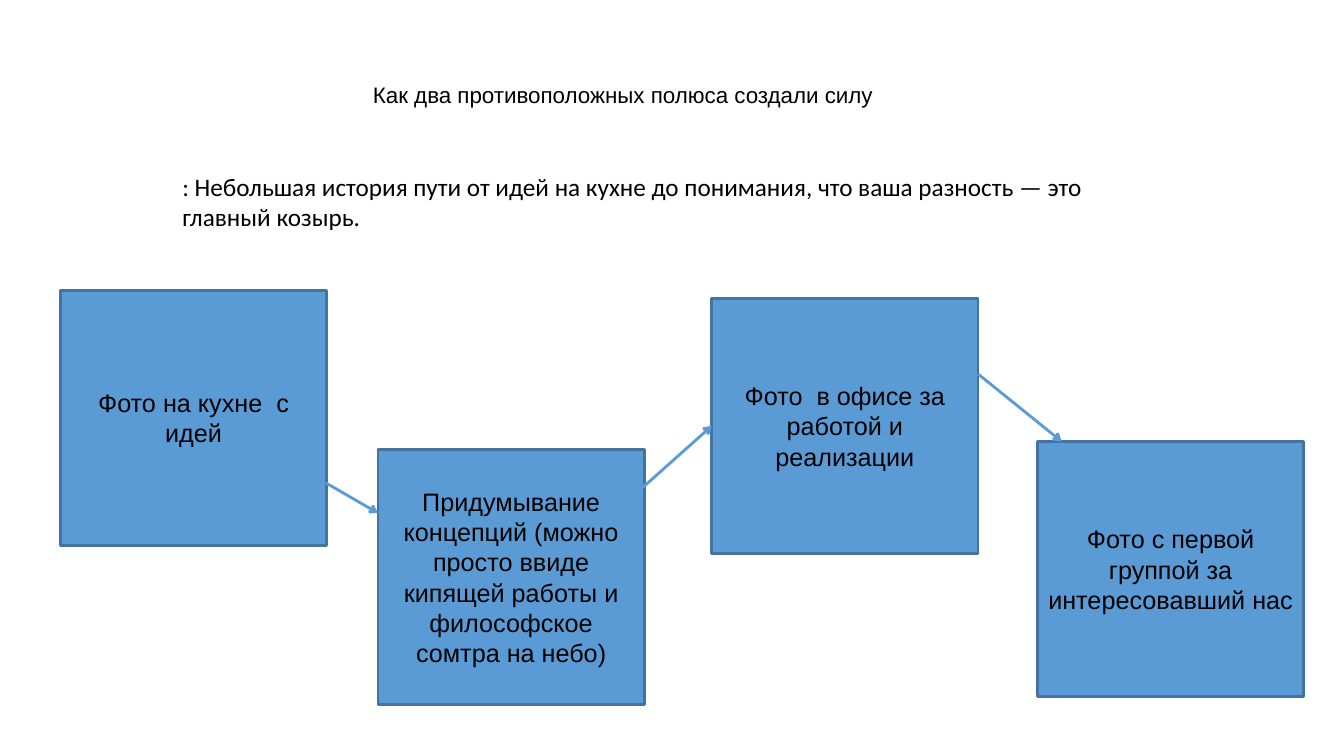
from pptx import Presentation
from pptx.dml.color import RGBColor
from pptx.enum.shapes import MSO_CONNECTOR, MSO_SHAPE
from pptx.enum.text import MSO_ANCHOR, PP_ALIGN
from pptx.oxml.ns import qn
from pptx.util import Inches, Pt
from lxml.etree import SubElement

BLUE, EDGE, BLACK = "5B9BD5", "43739E", "000000"
BOX_W, BOX_H = 2.64, 2.53

TEXTS = [
    (": Небольшая история пути от идей на кухне до понимания, что ваша разность — это главный козырь.",
     (1.71, 1.47, 10, 0.88), 18, "Calibri", MSO_ANCHOR.BOTTOM),
    ("Как два противоположных полюса создали силу",
     (3.6, 0.76, 5.56, 0.37), 16, "Arial", MSO_ANCHOR.TOP),
]
STEPS = [
    ("Фото на кухне  с идей", 0.6, 2.88),
    ("Придумывание концепций (можно просто ввиде кипящей работы и философское сомтра на небо)", 3.75, 4.46),
    ("Фото  в офисе за работой и реализации", 7.06, 2.96),
    ("Фото с первой группой за интересовавший нас ", 10.29, 4.38),
]
ARROWS = [
    ((3.23, 4.79), (3.75, 5.09), None),
    ((6.27, 4.93), (7.06, 4.23), 2),
    ((9.7, 3.71), (10.53, 4.38), None),
]


def color(value):
    return RGBColor.from_string(value)


def write(shape, text, size, font, anchor, align):
    tf = shape.text_frame
    tf.word_wrap = True
    tf.vertical_anchor = anchor
    p = tf.paragraphs[0]
    p.alignment = align
    r = p.add_run()
    r.text = text
    r.font.size = Pt(size)
    r.font.name = font
    r.font.color.rgb = color(BLACK)


def add_step(s, text, left, top):
    box = s.shapes.add_shape(MSO_SHAPE.RECTANGLE, Inches(left), Inches(top), Inches(BOX_W), Inches(BOX_H))
    box.shadow.inherit = False
    box.fill.solid()
    box.fill.fore_color.rgb = color(BLUE)
    box.line.color.rgb = color(EDGE)
    box.line.width = Pt(2)
    write(box, text, 18, "Arial", MSO_ANCHOR.MIDDLE, PP_ALIGN.CENTER)
    return box


def add_arrow(s, start, end):
    arrow = s.shapes.add_connector(MSO_CONNECTOR.STRAIGHT, *map(Inches, start + end))
    arrow.line.color.rgb = color(BLUE)
    arrow.line.width = Pt(2)
    SubElement(arrow.line._get_or_add_ln(), qn("a:tailEnd"), type="arrow")
    SubElement(arrow._element.spPr, qn("a:effectLst"))
    return arrow


def main():
    prs = Presentation()
    prs.slide_width, prs.slide_height = Inches(13.33), Inches(7.5)
    s = prs.slides.add_slide(prs.slide_layouts[6])
    for text, place, size, font, anchor in TEXTS:
        write(s.shapes.add_textbox(*map(Inches, place)), text, size, font, anchor, PP_ALIGN.LEFT)
    boxes = [add_step(s, *step) for step in STEPS]
    for start, end, target in ARROWS:
        arrow = add_arrow(s, start, end)
        if target is not None:
            arrow.end_connect(boxes[target], 1)
    prs.save("out.pptx")


if __name__ == "__main__":
    main()
